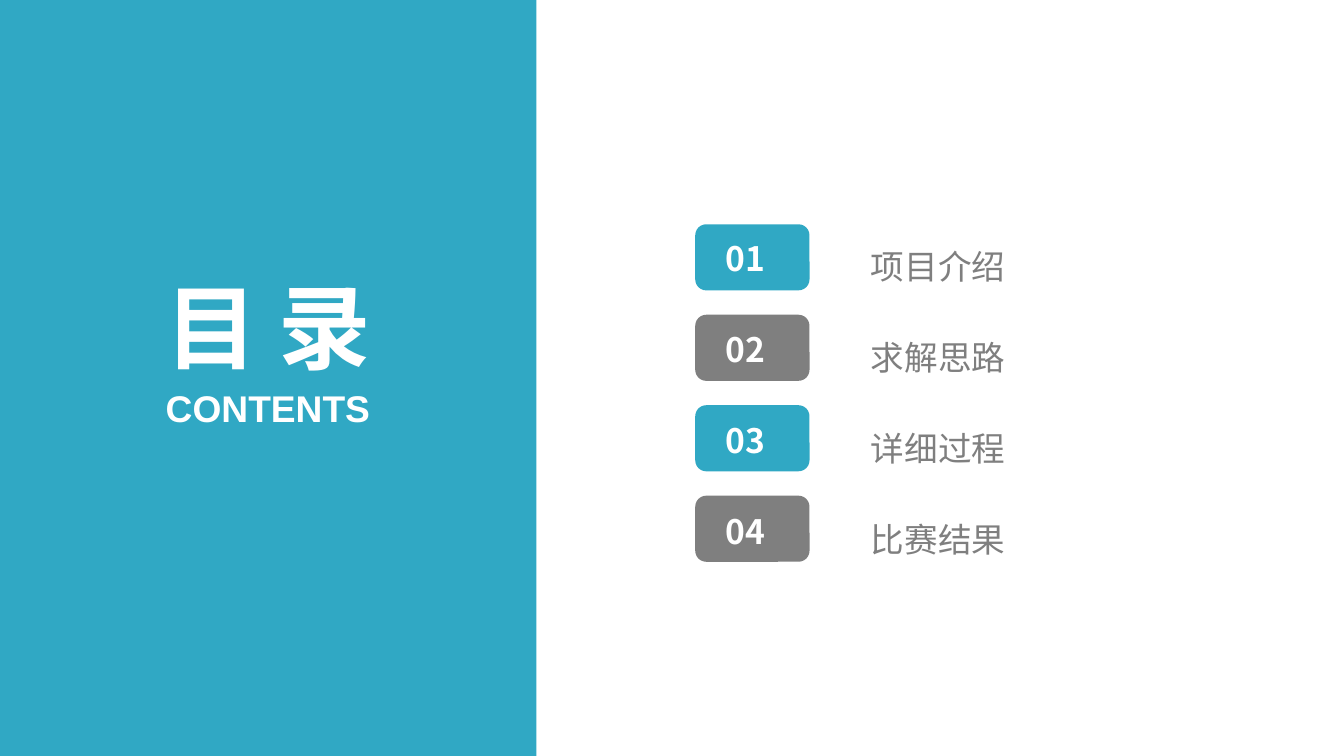
from pptx import Presentation
from pptx.dml.color import RGBColor
from pptx.enum import shapes, text
from pptx.oxml.ns import qn
from pptx.util import Cm, Pt
from lxml import etree

TITLE = "目 录"
SUB = "CONTENTS"
ITEMS = ["项目介绍", "求解思路", "详细过程", "比赛结果"]

TEAL = RGBColor(0x30, 0xA8, 0xC4)
GREY = RGBColor(0x7F, 0x7F, 0x7F)
WHITE = RGBColor(0xFF, 0xFF, 0xFF)
SANS = "Noto Sans CJK SC"

BOX_STEP = 1.71
TEXT_STEP = 1.72


def add_shape(kind, box, fill=None):
    shape = slide.shapes.add_shape(kind, *map(Cm, box))
    shape.shadow.inherit = False
    shape.line.fill.background()
    if fill is None:
        shape.fill.background()
    else:
        shape.fill.solid()
        shape.fill.fore_color.rgb = fill
    return shape


def write(shape, words, size, color, face, bold=False, center=True, pad=(0, 0)):
    """Fill the shape with one styled paragraph; pad is (side, top) in cm."""
    frame = shape.text_frame
    frame.margin_left = frame.margin_right = Cm(pad[0])
    frame.margin_top = frame.margin_bottom = Cm(pad[1])
    para = frame.paragraphs[0]
    para.text = words
    para.alignment = text.PP_ALIGN.CENTER if center else text.PP_ALIGN.LEFT
    font = para.font
    font.size, font.bold, font.name = Pt(size), bold, face
    font.color.rgb = color
    # East Asian letters take their own typeface
    props = para._p.pPr.find(qn("a:defRPr"))
    etree.SubElement(props, qn("a:ea")).set("typeface", SANS)
    return para


def add_text(box, *args, wrap=False, **style):
    label = slide.shapes.add_textbox(*map(Cm, box))
    label.text_frame.word_wrap = wrap
    return write(label, *args, **style)


deck = Presentation()
deck.slide_width, deck.slide_height = Cm(25.4), Cm(14.29)
slide = deck.slides.add_slide(deck.slide_layouts[6])
slide.background.fill.solid()
slide.background.fill.fore_color.rgb = WHITE

add_shape(shapes.MSO_SHAPE.RECTANGLE, (0, 0, 10.14, 14.29), TEAL)
add_text((3.07, 5.11, 4.01, 2.11), TITLE, 49.5, WHITE, "Arial", bold=True)
add_text((3.12, 7.29, 3.89, 0.86), SUB, 19.9, WHITE, "Arial", bold=True)

for i, item in enumerate(ITEMS):
    add_shape(shapes.MSO_SHAPE.ROUNDED_RECTANGLE,
              (13.14, 4.24 + i * BOX_STEP, 2.16, 1.25), (TEAL, GREY)[i % 2])
    number = add_shape(shapes.MSO_SHAPE.OVAL,
                       (13.1, 4.15 + i * TEXT_STEP, 1.98, 1.45))
    number.text_frame.vertical_anchor = text.MSO_ANCHOR.MIDDLE
    write(number, f"{i + 1:02}", 18, WHITE, SANS, bold=True, pad=(0.15, 0.08))
    line = add_text((16.28, 4.17 + i * TEXT_STEP, 7.21, 1.22), item, 18, GREY,
                    SANS, center=False, pad=(0.18, 0.1), wrap=True)
    line.line_spacing = 1.5
    line.space_before = Pt(5.6)

deck.save("out.pptx")
